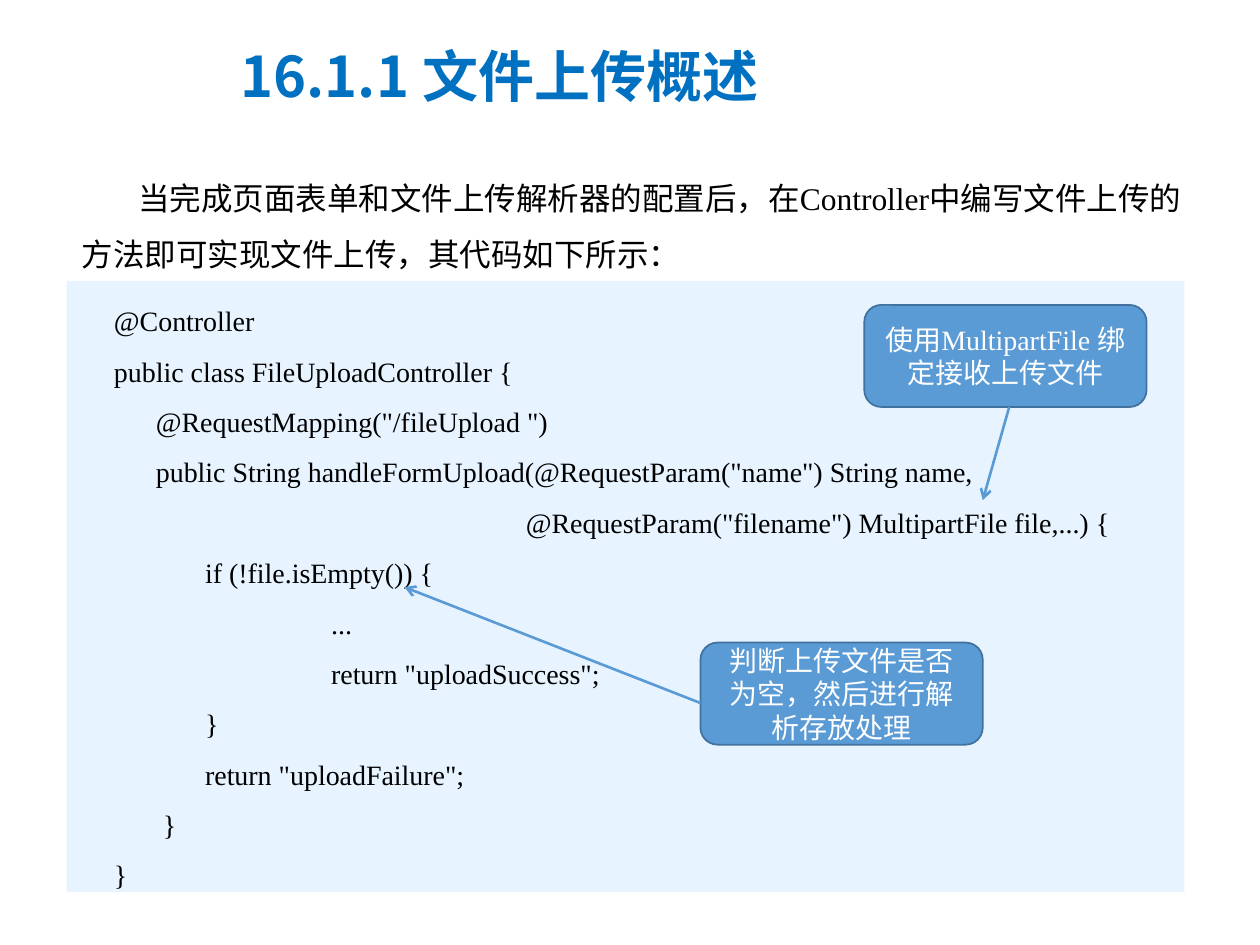
import lxml.etree
import pptx
import pptx.dml.color
import pptx.enum.shapes
import pptx.enum.text
import pptx.oxml.ns
import pptx.util
from pptx.util import Inches

CODE = """     @Controller
     public class FileUploadController {
           @RequestMapping("/fileUpload ")
           public String handleFormUpload(@RequestParam("name") String name,
                                                                @RequestParam("filename") MultipartFile file,...) {
\tif (!file.isEmpty()) {
\t\t...
\t\treturn "uploadSuccess";
\t}
\treturn "uploadFailure";
            }
     }"""
CALLOUT_SIZE = (2.24, 0.81)
CJK_FONT = "Noto Sans CJK SC"
SERIF_FONT = "Times New Roman"


def color(value):
    """Turn a hex string into a colour."""
    return pptx.dml.color.RGBColor.from_string(value)


def add_element(parent, tag, **attributes):
    """Append a drawing element to its parent."""
    return lxml.etree.SubElement(parent, pptx.oxml.ns.qn(tag), **attributes)


def write_text(shape, text, size, font, hex_color, spacing=1.0, bold=False, align="LEFT", anchor="TOP"):
    """Fill a shape with evenly formatted text."""
    frame = shape.text_frame
    frame.text = text
    frame.word_wrap = True
    frame.auto_size = pptx.enum.text.MSO_AUTO_SIZE.NONE
    frame.vertical_anchor = getattr(pptx.enum.text.MSO_ANCHOR, anchor)
    for paragraph in frame.paragraphs:
        paragraph.alignment = getattr(pptx.enum.text.PP_ALIGN, align)
        paragraph.line_spacing = spacing
        paragraph.space_before = pptx.util.Pt(0)
        for run in paragraph.runs:
            run.font.size = pptx.util.Pt(size)
            run.font.bold = bold
            run.font.color.rgb = color(hex_color)
            run.font.name = font
            add_element(run.font._element, "a:ea", typeface=CJK_FONT)


def add_box(slide, kind, left, top, width, height, fill, line=None):
    """Add a filled preset shape, outlined when a line colour is given."""
    shape = slide.shapes.add_shape(kind, Inches(left), Inches(top), Inches(width), Inches(height))
    shape.shadow.inherit = False
    shape.fill.solid()
    shape.fill.fore_color.rgb = color(fill)
    if line:
        shape.line.color.rgb = color(line)
        shape.line.width = pptx.util.Pt(1)
    else:
        shape.line.fill.background()
    return shape


def place_title(slide, left, top, width, height):
    """Place and format the slide title."""
    title = slide.shapes.title
    title.left, title.top = Inches(left), Inches(top)
    title.width, title.height = Inches(width), Inches(height)
    write_text(title, "16.1.1 文件上传概述", 32, CJK_FONT, "0070C0", spacing=0.9, bold=True)


def add_introduction(slide, left, top, width, height):
    """Add the introductory paragraph with an indented first line."""
    box = slide.shapes.add_textbox(Inches(left), Inches(top), Inches(width), Inches(height))
    text = "当完成页面表单和文件上传解析器的配置后，在Controller中编写文件上传的方法即可实现文件上传，其代码如下所示："
    write_text(box, text, 18, SERIF_FONT, "000000", spacing=1.5)
    properties = box.text_frame.paragraphs[0]._p.get_or_add_pPr()
    properties.set("indent", str(Inches(0.45)))


def add_code_panel(slide, left, top, width, height):
    """Add the code listing on its tinted panel."""
    panel = add_box(slide, pptx.enum.shapes.MSO_SHAPE.RECTANGLE, left, top, width, height, "E7F4FF")
    write_text(panel, CODE, 16, SERIF_FONT, "000000", spacing=1.5)
    for paragraph in panel.text_frame.paragraphs:
        tabs = add_element(paragraph._p.get_or_add_pPr(), "a:tabLst")
        for stop in (1, 2):
            add_element(tabs, "a:tab", pos=str(Inches(stop)), algn="l")


def add_callout(slide, left, top, text, font, start, end):
    """Add a rounded note with an arrow; arrow ends are offsets from the note corner."""
    note = add_box(slide, pptx.enum.shapes.MSO_SHAPE.ROUNDED_RECTANGLE, left, top, *CALLOUT_SIZE, "5B9BD5", "41719C")
    write_text(note, text, 16, font, "FFFFFF", align="CENTER", anchor="MIDDLE")
    arrow = slide.shapes.add_connector(
        pptx.enum.shapes.MSO_CONNECTOR.STRAIGHT,
        Inches(left + start[0]), Inches(top + start[1]),
        Inches(left + end[0]), Inches(top + end[1]),
    )
    arrow.line.color.rgb = color("5B9BD5")
    arrow.line.width = pptx.util.Pt(1.5)
    add_element(arrow.line._get_or_add_ln(), "a:tailEnd", type="arrow")
    add_element(arrow._element.spPr, "a:effectLst")


def main():
    """Build and save the presentation."""
    presentation = pptx.Presentation()
    presentation.slide_width, presentation.slide_height = Inches(10), Inches(7.5)
    slide = presentation.slides.add_slide(presentation.slide_layouts[5])
    place_title(slide, 1.81, 0.34, 6.15, 0.85)
    add_introduction(slide, 0.55, 1.22, 9.07, 1)
    add_code_panel(slide, 0.53, 2.23, 8.87, 4.85)
    add_callout(slide, 6.86, 2.42, "使用MultipartFile 绑定接收上传文件", SERIF_FONT, (1.15, 0.81), (0.94, 1.55))
    add_callout(slide, 5.56, 5.1, "判断上传文件是否为空，然后进行解析存放处理", "Calibri", (0, 0.48), (-2.35, -0.44))
    presentation.save("out.pptx")


if __name__ == "__main__":
    main()
